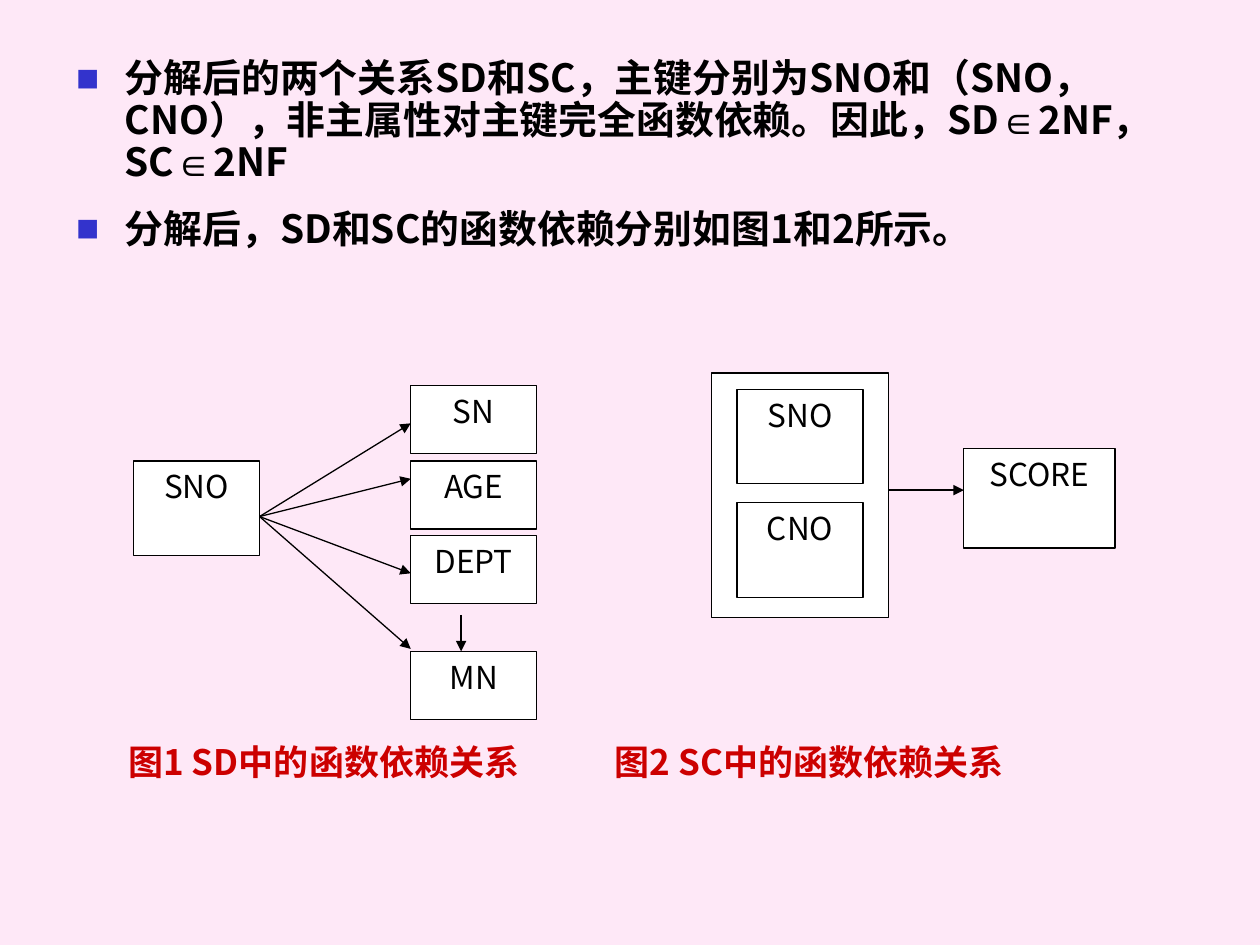
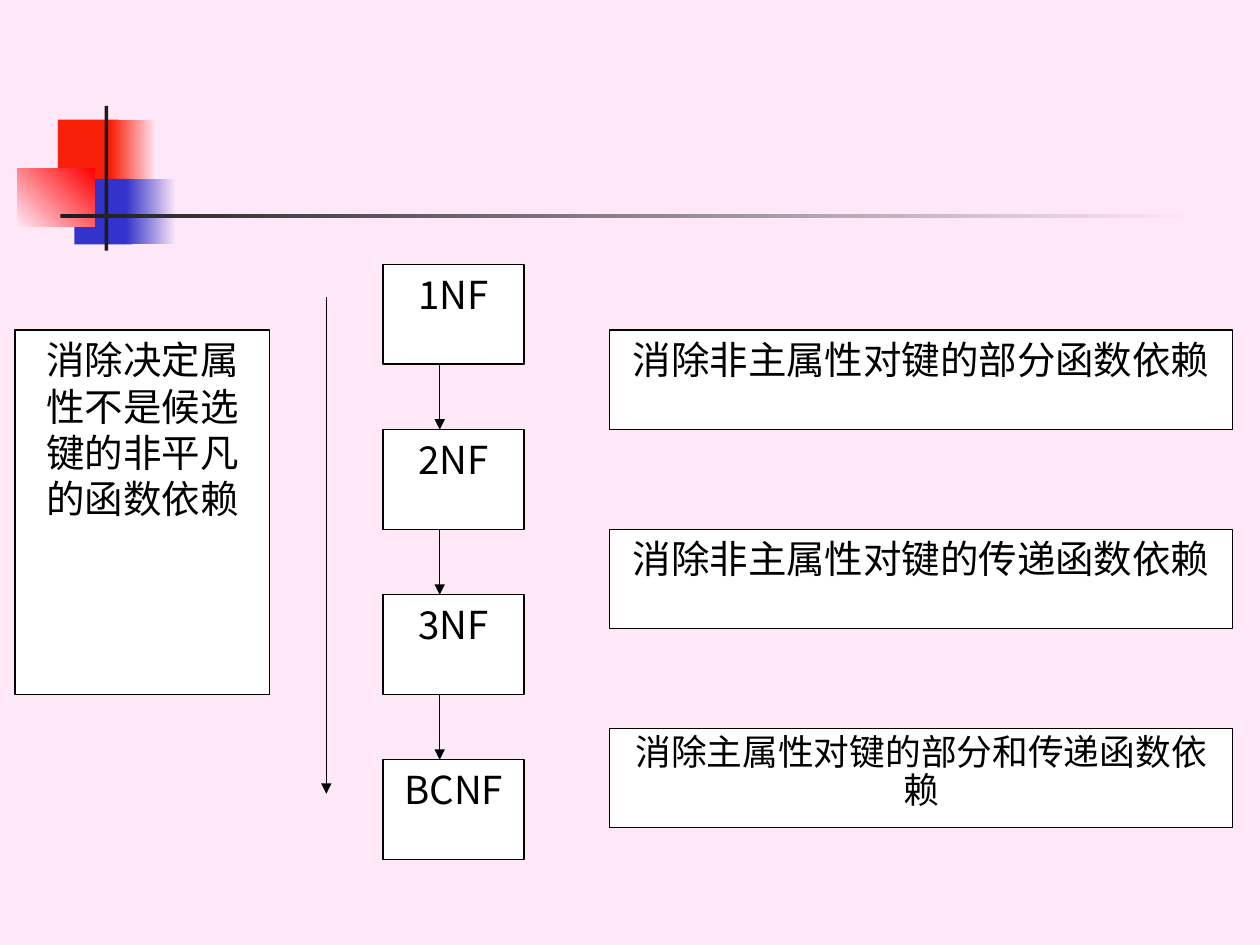
from dataclasses import dataclass
from typing import Optional

from lxml.etree import SubElement
from pptx import Presentation
from pptx.dml.color import RGBColor
from pptx.enum.shapes import MSO_CONNECTOR as Link, MSO_SHAPE as Kind
from pptx.enum.text import MSO_ANCHOR as Anchor, MSO_AUTO_SIZE as Fit, PP_ALIGN as Align
from pptx.oxml.ns import qn
from pptx.util import Inches, Pt


@dataclass(frozen=True)
class Theme:
    back: str = "FEE8F7"
    ink: str = "000000"
    paper: str = "FFFFFF"
    blue: str = "3333CC"
    orange: str = "F81F08"
    red: str = "FF0000"
    dark: str = "1C1C1C"
    label: str = "CC0000"
    sans: str = "Noto Sans CJK SC"
    serif: str = "Times New Roman"
    math: str = "Arial"
    body: float = 22.2
    node: float = 18
    step: float = 22
    tight: float = 20.4
    caption: float = 20
    rule: float = 0.75


THEME = Theme()


@dataclass(frozen=True)
class Box:
    left: float
    top: float
    width: float
    height: float
    text: str = ""
    size: float = THEME.node
    font: str = THEME.sans
    spacing: Optional[float] = None


@dataclass(frozen=True)
class Arrow:
    x1: float
    y1: float
    x2: float
    y2: float


@dataclass(frozen=True)
class Patch:
    """A borderless block, shaded from one colour to another if both are given."""
    left: float
    top: float
    width: float
    height: float
    color: str
    fade: Optional[str] = None
    angle: float = 0


PATCHES = [
    Patch(0.46, 0.95, 0.48, 0.52, THEME.orange),
    Patch(0.88, 0.95, 0.36, 0.52, THEME.orange, THEME.back),
    Patch(0.59, 1.42, 0.46, 0.52, THEME.blue),
    Patch(1, 1.42, 0.4, 0.52, THEME.blue, THEME.back),
    Patch(0.14, 1.34, 0.61, 0.46, THEME.back, THEME.red, 45),
    Patch(0.83, 0.84, 0.03, 1.15, THEME.dark),
    Patch(0.48, 1.7, 9, 0.03, THEME.dark, THEME.back),
]

POINTS = [
    "分解后的两个关系SD和SC，主键分别为SNO和（SNO，CNO），"
    "非主属性对主键完全函数依赖。因此，SD∈2NF，SC∈2NF",
    "分解后，SD和SC的函数依赖分别如图1和2所示。",
]


def rgb(code: str) -> RGBColor:
    return RGBColor.from_string(code)


def inches(*values: float) -> list:
    return [Inches(value) for value in values]


def style(para, size: float, font: str, color: str = THEME.ink, bold: bool = False) -> None:
    face = para.font
    face.size, face.name, face.bold = Pt(size), font, bold
    face.color.rgb = rgb(color)
    base = para._p.pPr.find(qn("a:defRPr"))
    SubElement(base, qn("a:ea"), typeface=THEME.sans)


def add_box(slide, box: Box) -> None:
    shape = slide.shapes.add_shape(
        Kind.RECTANGLE, *inches(box.left, box.top, box.width, box.height))
    shape.shadow.inherit = False
    shape.fill.solid()
    shape.fill.fore_color.rgb = rgb(THEME.paper)
    shape.line.color.rgb = rgb(THEME.ink)
    shape.line.width = Pt(THEME.rule)
    if not box.text:
        return
    frame = shape.text_frame
    frame.word_wrap = True
    frame.vertical_anchor = Anchor.TOP
    para = frame.paragraphs[0]
    para.text = box.text
    para.alignment = Align.CENTER
    para.line_spacing = box.spacing
    style(para, box.size, box.font)


def add_arrow(slide, arrow: Arrow) -> None:
    line = slide.shapes.add_connector(
        Link.STRAIGHT, *inches(arrow.x1, arrow.y1, arrow.x2, arrow.y2))
    line.line.color.rgb = rgb(THEME.ink)
    line.line.width = Pt(THEME.rule)
    props = line._element.spPr
    SubElement(props.find(qn("a:ln")), qn("a:tailEnd"), type="triangle")
    SubElement(props, qn("a:effectLst"))


def add_patch(slide, patch: Patch) -> None:
    shape = slide.shapes.add_shape(
        Kind.RECTANGLE, *inches(patch.left, patch.top, patch.width, patch.height))
    shape.shadow.inherit = False
    shape.line.fill.background()
    fill = shape.fill
    if patch.fade is None:
        fill.solid()
        fill.fore_color.rgb = rgb(patch.color)
        return
    fill.gradient()
    fill.gradient_angle = patch.angle
    for stop, color in zip(fill.gradient_stops, (patch.color, patch.fade)):
        stop.color.rgb = rgb(color)


def add_bullet(para) -> None:
    props = para._p.get_or_add_pPr()
    props.set("marL", str(Inches(0.38)))
    props.set("indent", str(Inches(-0.38)))
    tint = SubElement(props, qn("a:buClr"))
    SubElement(tint, qn("a:srgbClr"), val=THEME.blue)
    SubElement(props, qn("a:buSzPct"), val="60000")
    SubElement(props, qn("a:buFont"), typeface=THEME.sans)
    SubElement(props, qn("a:buChar"), char="■")


def fill_body(body) -> None:
    body.left, body.top, body.width, body.height = inches(0.51, 0.42, 8.98, 1.83)
    frame = body.text_frame
    frame.auto_size = Fit.NONE
    frame.vertical_anchor = Anchor.TOP
    for index, text in enumerate(POINTS):
        para = frame.add_paragraph() if index else frame.paragraphs[0]
        add_bullet(para)
        para.line_spacing = 0.9
        para.space_before = Pt(14 if index else 0)
        style(para, THEME.body, THEME.sans, bold=True)
        for order, part in enumerate(text.split("∈")):
            if order:
                sign = para.add_run()
                sign.text = "∈"
                sign.font.name = THEME.math
            para.add_run().text = part


def add_captions(slide) -> None:
    frame = slide.shapes.add_textbox(*inches(0.92, 5.83, 8.33, 0.44)).text_frame
    frame.word_wrap = True
    para = frame.paragraphs[0]
    para.text = "图1 SD中的函数依赖关系\t图2 SC中的函数依赖关系"
    tabs = SubElement(para._p.get_or_add_pPr(), qn("a:tabLst"))
    SubElement(tabs, qn("a:tab"), pos=str(Inches(3.86)), algn="l")
    style(para, THEME.caption, THEME.sans, THEME.label, bold=True)


def build_split(deck) -> None:
    slide = deck.slides.add_slide(deck.slide_layouts[1])
    title = slide.shapes.title._element
    title.getparent().remove(title)
    fill_body(slide.placeholders[1])

    add_box(slide, Box(1.06, 3.66, 1, 0.75, "SNO"))
    targets = [("SN", 3.06, 3.36), ("AGE", 3.66, 3.8),
               ("DEPT", 4.25, 4.55), ("MN", 5.17, 5.15)]
    for name, top, tip in targets:
        add_box(slide, Box(3.26, top, 1, 0.54, name))
        add_arrow(slide, Arrow(2.06, 4.1, 3.26, tip))
    add_arrow(slide, Arrow(3.66, 4.88, 3.66, 5.17))

    add_box(slide, Box(5.65, 2.96, 1.4, 1.94))
    for row, name in enumerate(("SNO", "CNO")):
        add_box(slide, Box(5.85, 3.09 + 0.9 * row, 1, 0.75, name))
    add_box(slide, Box(7.65, 3.56, 1.2, 0.79, "SCORE"))
    add_arrow(slide, Arrow(7.05, 3.89, 7.65, 3.89))
    add_captions(slide)


def build_forms(deck) -> None:
    slide = deck.slides.add_slide(deck.slide_layouts[6])
    for patch in PATCHES:
        add_patch(slide, patch)

    high, pitch = 0.79, 1.31
    forms = ["1NF", "2NF", "3NF", "BCNF"]
    for row, name in enumerate(forms):
        top = 2.1 + pitch * row
        add_box(slide, Box(3.04, top, 1.12, high, name, THEME.step))
        if row < len(forms) - 1:
            add_arrow(slide, Arrow(3.49, top + high, 3.49, top + pitch))

    add_box(slide, Box(0.12, 2.62, 2.02, 2.89, "消除决定属性不是候选键的非平凡的函数依赖",
                       THEME.step, THEME.serif))
    add_arrow(slide, Arrow(2.59, 2.36, 2.59, 6.3))

    rules = [("消除非主属性对键的部分函数依赖", THEME.step, None),
             ("消除非主属性对键的传递函数依赖", THEME.step, None),
             ("消除主属性对键的部分和传递函数依赖", THEME.tight, 0.9)]
    for row, (text, size, spacing) in enumerate(rules):
        add_box(slide, Box(4.84, 2.62 + 1.58 * row, 4.94, high, text,
                           size, THEME.serif, spacing))


def main() -> None:
    deck = Presentation()
    deck.slide_width, deck.slide_height = inches(10, 7.5)
    back = deck.slide_master.background.fill
    back.solid()
    back.fore_color.rgb = rgb(THEME.back)
    build_split(deck)
    build_forms(deck)
    deck.save("out.pptx")


if __name__ == "__main__":
    main()
